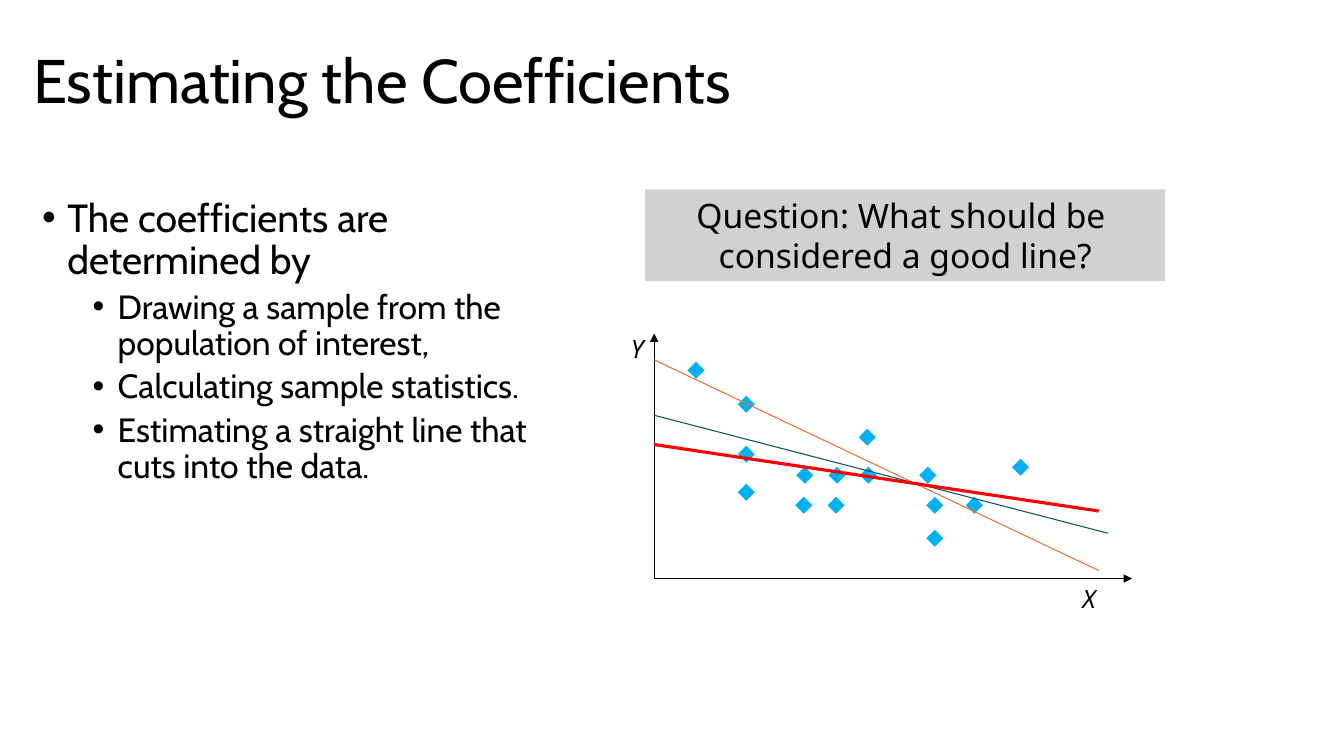
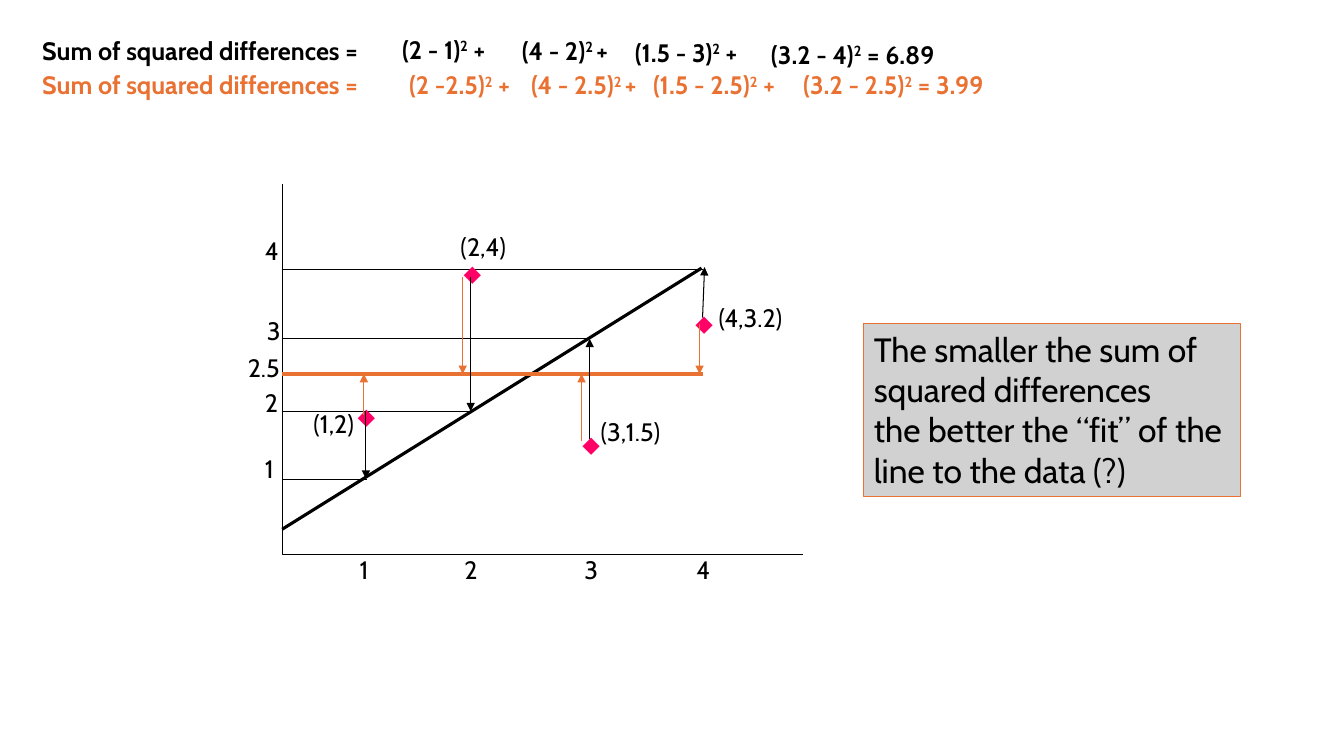
from lxml.etree import SubElement
from pptx import Presentation
from pptx.dml.color import RGBColor
from pptx.enum.dml import MSO_LINE
from pptx.enum.shapes import MSO_CONNECTOR, MSO_SHAPE
from pptx.enum.text import MSO_ANCHOR, PP_ALIGN
from pptx.oxml.ns import qn
from pptx.util import Inches, Pt

# Shared look; every length counts cells of a grid, 133.33 columns by 75 rows
CELL = Inches(0.1)
COLUMNS, ROWS = 133.33, 75
BLACK, PANEL, ORANGE = "000000", "D1D1D1", "E97132"
SKY, PINK, NAVY, RED = "00B0F0", "FF0066", "084F6A", "FF0000"
BODY_FONT, QUESTION_FONT, MARK_FONT = "Cabin", "Noto Sans", "Arial"
MARK, MARK_SIZE = "⬥", (3.5, 4)
hex_color = RGBColor.from_string


def write(slide, box, paragraphs, size=18, color=BLACK, font=BODY_FONT,
          bold=False, italic=False, wrap=False, panel=None):
    """Put paragraphs, each a list of runs, in a box; every second run is raised."""
    place = [round(n * CELL) for n in box]
    if panel:
        shape = slide.shapes.add_shape(MSO_SHAPE.RECTANGLE, *place)
        shape.shadow.inherit = False
        shape.fill.solid()
        shape.fill.fore_color.rgb = hex_color(panel)
        shape.line.fill.background()
    else:
        shape = slide.shapes.add_textbox(*place)
    frame = shape.text_frame
    frame.word_wrap = wrap
    frame.vertical_anchor = MSO_ANCHOR.TOP
    for number, runs in enumerate(paragraphs):
        paragraph = frame.add_paragraph() if number else frame.paragraphs[0]
        paragraph.alignment = PP_ALIGN.LEFT
        for position, text in enumerate(runs):
            run = paragraph.add_run()
            run.text = text
            run.font.name, run.font.size = font, Pt(size)
            run.font.bold, run.font.italic = bold, italic
            run.font.color.rgb = hex_color(color)
            if position % 2:
                run.font._element.set("baseline", "30000")
    return shape


def draw(slide, points, color=BLACK, weight=0.75, arrows=(), dash=None):
    """Draw a straight connector through two points, an open outline through more."""
    spots = [(round(x * CELL), round(y * CELL)) for x, y in points]
    if len(spots) == 2:
        stroke = slide.shapes.add_connector(MSO_CONNECTOR.STRAIGHT, *spots[0], *spots[1])
    else:
        outline = slide.shapes.build_freeform(*spots[0])
        outline.add_line_segments(spots[1:], close=False)
        stroke = outline.convert_to_shape()
        stroke.fill.background()
    stroke.line.color.rgb = hex_color(color)
    stroke.line.width = Pt(weight)
    if dash:
        stroke.line.dash_style = dash
    properties = stroke._element.spPr
    for end in arrows:
        SubElement(properties.find(qn("a:ln")), qn(f"a:{end}"), type="triangle")
    SubElement(properties, qn("a:effectLst"))


deck = Presentation()
deck.slide_width, deck.slide_height = round(COLUMNS * CELL), round(ROWS * CELL)
blank = deck.slide_layouts[6]

# Slide 1: title and bullets
coefficients = deck.slides.add_slide(blank)
title = write(coefficients, (2.3, 1, 115, 14.5), [["Estimating the Coefficients"]],
              size=44, wrap=True)
title.text_frame.vertical_anchor = MSO_ANCHOR.MIDDLE
title.text_frame.paragraphs[0].line_spacing = 0.9

steps = [
    "The coefficients are determined by",
    "Drawing a sample from the population of interest,",
    "Calculating sample statistics.",
    "Estimating a straight line that cuts into the data.",
]
bullets = write(coefficients, (3.2, 19.2, 55.3, 45.2), [[step] for step in steps],
                size=24, wrap=True)
for number, paragraph in enumerate(bullets.text_frame.paragraphs):
    level = min(number, 1)
    paragraph.level = level
    layout = paragraph._p.get_or_add_pPr()
    layout.set("marL", str(Inches(0.25 + 0.5 * level)))
    layout.set("indent", str(-Inches(0.25)))
    SubElement(layout, qn("a:buFont"), typeface=MARK_FONT)
    SubElement(layout, qn("a:buChar"), char="•")
    paragraph.line_spacing = 0.9
    if number:
        paragraph.space_before = Pt(5)
    else:
        paragraph.runs[0].font.size = Pt(28)

# Question panel
question = write(coefficients, (64, 18.8, 51.6, 9.1),
                 [["Question: What should be "], ["considered a good line?"]],
                 size=24, font=QUESTION_FONT, wrap=True, panel=PANEL)
for paragraph in question.text_frame.paragraphs:
    paragraph.alignment = PP_ALIGN.CENTER

# Scatter: axes, marks by row, candidate lines
draw(coefficients, [(64.9, 33.1), (64.9, 57.4), (112.3, 57.4)],
     arrows=("headEnd", "tailEnd"))
mark_rows = {
    34.5: [67.2],
    37.8: [72.2],
    41.1: [84.2],
    42.8: [72.2],
    44.1: [99.4],
    44.9: [78, 81.2, 84.3, 90.2],
    46.6: [72.2],
    47.9: [77.9, 81.1, 90.9, 94.8],
    51.1: [90.9],
}
for top, lefts in mark_rows.items():
    for left in lefts:
        write(coefficients, (left, top, *MARK_SIZE), [[MARK]], color=SKY, font=MARK_FONT)

for start, end, color, weight in [
    (41.2, (109.9, 52.9), NAVY, 0.75),
    (35.7, (109, 56.6), ORANGE, 0.75),
    (44.1, (109, 50.7), RED, 2.25),
]:
    draw(coefficients, [(64.9, start), end], color, weight)
for axis, left, top in [("X", 106.4, 57.4), ("Y", 61.6, 32.6)]:
    write(coefficients, (left, top, 3.5, 4), [[axis]], font=QUESTION_FONT, italic=True)

# Slide 2: sums of squared differences, one row per line
squares = deck.slides.add_slide(blank)
sums = [
    (BLACK, [
        (3.2, 3, 36.9, ["Sum of squared differences ="]),
        (38.9, 2.9, 12.7, ["(2 - 1)", "2", " +"]),
        (50.8, 3, 12.4, ["(4 - 2)", "2 ", "+"]),
        (62, 3.2, 14.8, ["(1.5 - 3)", "2", " +"]),
        (75.5, 3.4, 20.5, ["(3.2 - 4)", "2", " = 6.89"]),
    ]),
    (ORANGE, [
        (3.2, 6.4, 36.9, ["Sum of squared differences ="]),
        (39.6, 6.4, 17.4, ["(2 -2.5)", "2", " +"]),
        (51.7, 6.4, 17.9, ["(4 - 2.5)", "2 ", "+"]),
        (63.8, 6.4, 20.9, ["(1.5 - 2.5)", "2", " +"]),
        (78.7, 6.4, 28, ["(3.2 - 2.5)", "2", " = 3.99"]),
    ]),
]
for color, terms in sums:
    for left, top, width, runs in terms:
        write(squares, (left, top, width, 4), [runs], color=color, bold=True)

# Graph: axes, dotted guides and scale values
axis_x, axis_y = 28, 55
draw(squares, [(axis_x, 18.3), (axis_x, axis_y), (79.7, axis_y)])
scale_x = {"1": 36.3, "2": 46.7, "3": 58.6, "4": 69.7}
scale_y = {"1": 47.5, "2": 40.8, "3": 33.5, "4": 26.7}
for value, x in scale_x.items():
    draw(squares, [(x, scale_y[value]), (axis_x, scale_y[value])],
         weight=0.25, dash=MSO_LINE.ROUND_DOT)
    write(squares, (x - 1.6, 54.5, 3.4, 4), [[value]])
for value, left, top in [("1", 25.3, 44.5), ("2", 25.3, 37.9), ("2.5", 23.6, 34.5),
                         ("3", 25.5, 30.8), ("4", 25.3, 22.9)]:
    write(squares, (left, top, 2 + 1.4 * len(value), 4), [[value]])

# Data points with their coordinates
for mark, label, coordinates in [
    ((34.5, 39.2), (30.1, 40), "(1,2)"),
    ((45, 25), (44.7, 22.5), "(2,4)"),
    ((56.8, 42), (58.6, 40.8), "(3,1.5)"),
    ((68, 30), (70.3, 29.5), "(4,3.2)"),
]:
    write(squares, (*mark, *MARK_SIZE), [[MARK]], color=PINK, font=MARK_FONT)
    write(squares, (*label, 8.7, 4), [[coordinates]])

# The two lines and the differences from the points to each
level_y = 37.1
draw(squares, [(axis_x, 52.5), (69.6, 26.6)], weight=2.25)
draw(squares, [(axis_x, level_y), (69.7, level_y)], ORANGE, 2.25)
differences = {
    BLACK: [((36.3, 40.8), (36.3, 47.5)), ((46.7, 27.5), (46.7, 40.8)),
            ((58.5, 43.6), (58.5, 33.6)), ((69.7, 31.5), (69.9, 26.5))],
    ORANGE: [((x, start), (x, level_y))
             for x, start in [(36.1, 41.2), (45.9, 27.5), (57.7, 43.8), (69.4, 32.1)]],
}
for color, arrows in differences.items():
    for ends in arrows:
        draw(squares, ends, color, arrows=("tailEnd",))

# Conclusion panel
conclusion = write(squares, (85.7, 32.1, 37.4, 17.2), [
    ["The smaller the sum of"],
    ["squared differences"],
    ["the better the “fit” of the"],
    ["line to the data (?)"],
], size=24, panel=PANEL)
conclusion.line.color.rgb = hex_color(ORANGE)
conclusion.line.width = Pt(0.75)

deck.save("out.pptx")
